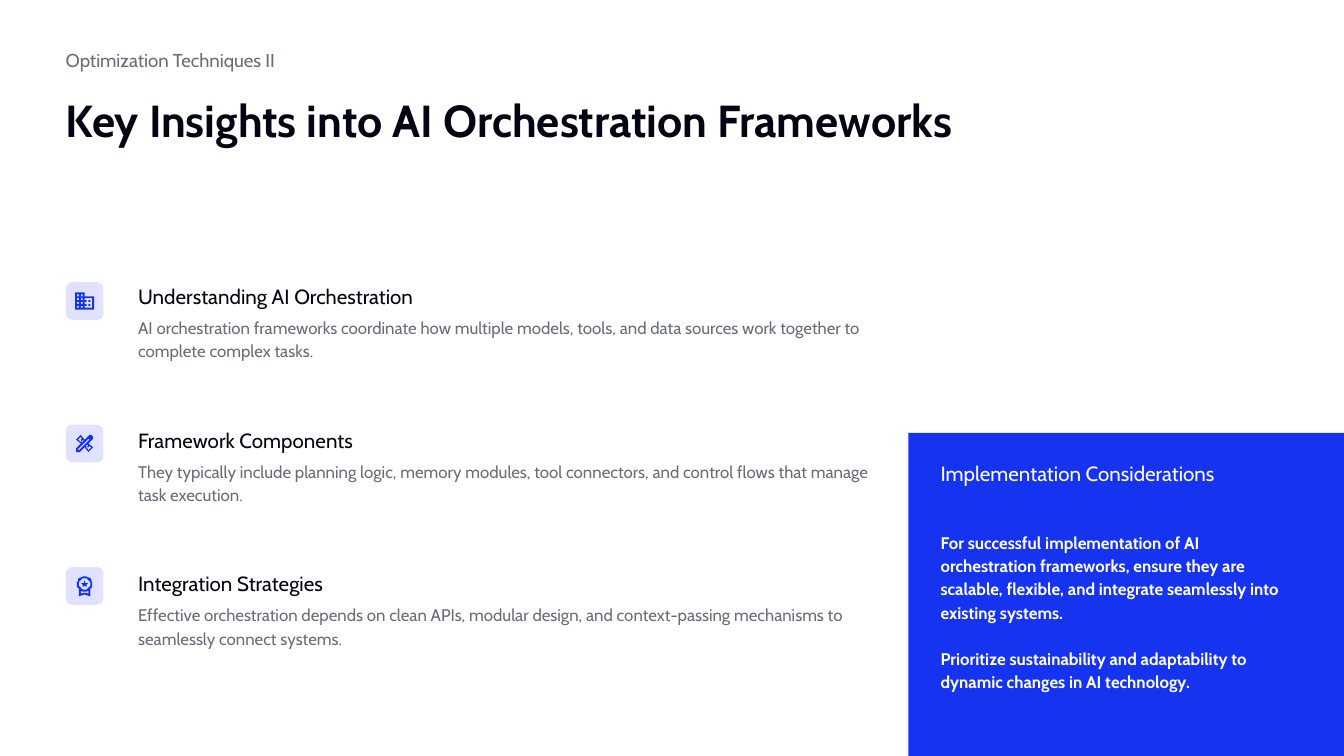
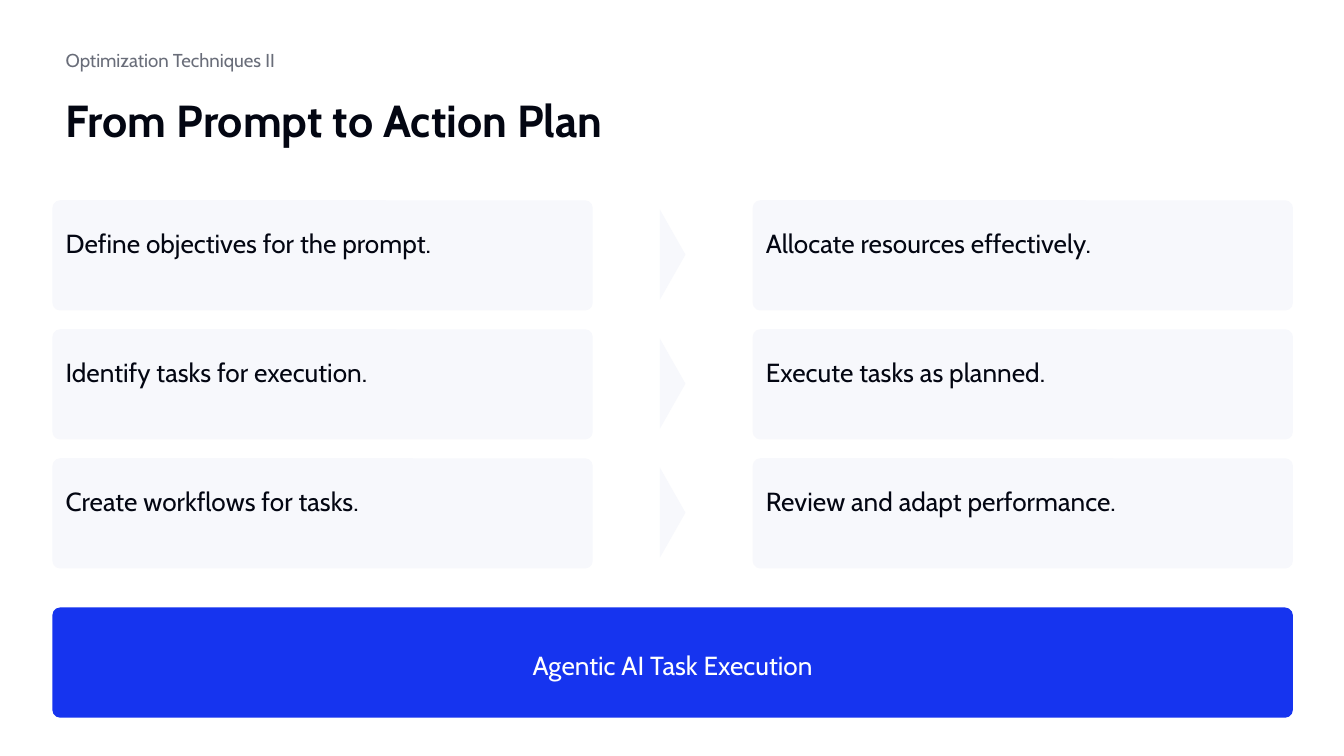
from math import cos, pi, sin

from pptx import Presentation
from pptx.dml.color import RGBColor
from pptx.enum.shapes import MSO_SHAPE
from pptx.enum.text import MSO_ANCHOR, MSO_AUTO_SIZE, PP_ALIGN
from pptx.util import Inches, Pt

RECT, ROUND = MSO_SHAPE.RECTANGLE, MSO_SHAPE.ROUNDED_RECTANGLE
WEDGE = MSO_SHAPE.ISOSCELES_TRIANGLE
TOP, MID = MSO_ANCHOR.TOP, MSO_ANCHOR.MIDDLE
LEFT, CENTER = PP_ALIGN.LEFT, PP_ALIGN.CENTER
FIXED = MSO_AUTO_SIZE.NONE

FONT = "Cabin"
INK, GREY, WHITE = "030612", "696D79", "FFFFFF"
BLUE, LILAC, PALE = "1634EF", "E0E2FF", "F7F8FC"
EDGE, WIDE = 0.39, 9.23
TILE, GLYPH, GRID = 0.28, 0.17, 24


def color(code):
    return RGBColor.from_string(code)


def place(shape, box):
    shape.left, shape.top, shape.width, shape.height = map(Inches, box)


def write(shape, lines, size, ink, bold=False, anchor=TOP, align=LEFT,
          lead=1.15, gap=0):
    frame = shape.text_frame
    frame.word_wrap = True
    frame.auto_size = FIXED
    frame.vertical_anchor = anchor
    frame.margin_left = frame.margin_right = Inches(0.1)
    frame.margin_top = frame.margin_bottom = Inches(0.1)
    frame.text = "\n".join(lines)
    for i, para in enumerate(frame.paragraphs):
        para.alignment = align
        para.line_spacing = lead
        if i:
            para.space_before = Pt(gap)
        for run in para.runs:
            font = run.font
            font.name, font.size, font.bold = FONT, Pt(size), bold
            font.color.rgb = color(ink)


def label(slide, box, lines, size, ink, **style):
    write(slide.shapes.add_textbox(*map(Inches, box)), lines, size, ink,
          **style)


def paint(shape, fill):
    shape.shadow.inherit = False
    shape.fill.solid()
    shape.fill.fore_color.rgb = color(fill)
    shape.line.fill.background()


def block(slide, kind, box, fill, bend=None):
    shape = slide.shapes.add_shape(kind, *map(Inches, box))
    paint(shape, fill)
    if bend is not None:
        shape.adjustments[0] = bend
    return shape


# Icons: outlines on a 24-unit grid
def office():
    panes = [[(x, y), (x + 2, y), (x + 2, y + 2), (x, y + 2)]
             for x, rows in ((4, (5, 9, 13, 17)), (8, (5, 9, 13, 17)),
                             (16, (11, 15))) for y in rows]
    wing = [(20, 9), (20, 19), (12, 19), (12, 17), (14, 17), (14, 15),
            (12, 15), (12, 13), (14, 13), (14, 11), (12, 11), (12, 9)]
    wall = [(2, 3), (2, 21), (22, 21), (22, 7), (12, 7), (12, 3)]
    return panes + [wing, wall]


def tools():
    rule = [(7.5, 5.3), (9, 6.8), (7.6, 8.2), (9, 9.6), (10.4, 8.2),
            (11.2, 9), (9, 11.2), (5.3, 7.5)]
    tail = [(15, 12.8), (15.8, 13.6), (14.4, 15), (15.8, 16.4), (17.2, 15),
            (18.7, 16.5), (16.5, 18.7), (12.8, 15)]
    pen = [(15.8, 7.1), (17, 8.2), (6, 19), (5, 19), (5, 18)]
    rim = [(7.5, 3), (3, 7.5), (8, 12.5), (3, 17.3), (3, 21), (6.7, 21),
           (11.5, 16), (16.5, 21), (21, 16.5), (16, 11.5), (20.7, 6.8),
           (20.7, 5.4), (18.6, 3.3), (17.2, 3.3), (12.5, 8)]
    return [rule, pen, tail, rim]


def arc(radius, start, sweep, count):
    turns = [(start + sweep * i / count) * pi / 180 for i in range(count + 1)]
    return [(12 + radius * cos(t), 10 + radius * sin(t)) for t in turns]


def badge():
    star = [arc(1.7 if i % 2 else 4.2, 36 * i - 90, 0, 1)[0]
            for i in range(10)]
    ring = arc(6, 0, 360, 24)
    slot = [(8, 17), (8, 20.3), (12, 19), (16, 20.3), (16, 17),
            (14, 17.8), (12, 18), (10, 17.8)]
    rim = arc(8, 139, 262, 24) + [(18, 23), (12, 21), (6, 23)]
    return [star, ring, slot, rim]


def icon(slide, left, top, paths):
    block(slide, ROUND, (left, top, TILE, TILE), LILAC, 0.17)
    inset = (TILE - GLYPH) / 2
    pen = None
    for path in paths:
        if pen is None:
            pen = slide.shapes.build_freeform(*path[0],
                                              scale=Inches(GLYPH) / GRID)
        else:
            pen.move_to(*path[0])
        pen.add_line_segments(path[1:], close=True)
    paint(pen.convert_to_shape(Inches(left + inset), Inches(top + inset)),
          BLUE)


# Shared heading
def start(deck, title):
    slide = deck.slides.add_slide(deck.slide_layouts[5])
    place(slide.shapes.title, (EDGE, 0.59, WIDE, 0.9))
    write(slide.shapes.title, [title], 24, INK, bold=True, lead=1)
    label(slide, (EDGE, 0.31, 2.36, 0.28), ["Optimization Techniques II"],
          10, GREY, anchor=MID, lead=1)
    return slide


# Insight list
def insights(slide, left, top, items):
    for i, (paths, head, body) in enumerate(items):
        icon(slide, left, top + 0.05 + 1.06 * i, paths)
        row = top + 1.07 * i
        label(slide, (left + 0.44, row, 5.77, 0.28), [head], 11, INK,
              anchor=MID)
        label(slide, (left + 0.44, row + 0.19, 5.77, 0.72), [body], 9, GREY)


# Blue corner panel
def panel(slide, left, top, width, height, head, notes):
    block(slide, RECT, (left, top, width, height), BLUE)
    label(slide, (left + 0.14, top + 0.21, 2.72, 0.16), [head], 11, WHITE,
          anchor=MID)
    label(slide, (left + 0.14, top + 0.62, 2.72, 1.54), notes, 9, WHITE,
          bold=True, gap=12.5)


# Paired steps with a wedge between them
def steps(slide, left, top, pairs):
    width, height, pitch, shift = 4.02, 0.82, 0.96, 5.21
    for i, pair in enumerate(pairs):
        row = top + pitch * i
        for j, text in enumerate(pair):
            side = left + shift * j
            block(slide, ROUND, (side, row, width, height), PALE, 0.07)
            label(slide, (side, row + 0.04, width, 0.52), [text], 14, INK,
                  anchor=MID)
        wedge = block(slide, WEDGE, (left + 4.28, row + 0.31, 0.67, 0.19),
                      PALE)
        wedge.rotation = 90


# Closing bar
def result(slide, left, top, width, text):
    block(slide, ROUND, (left, top, width, 0.82), BLUE, 0.07)
    label(slide, (left, top + 0.15, width, 0.52), [text], 14, WHITE,
          anchor=MID, align=CENTER)


def main():
    deck = Presentation()
    deck.slide_width = Inches(10)
    deck.slide_height = deck.slide_width * 9 // 16

    slide = start(deck, "Key Insights into AI Orchestration Frameworks")
    insights(slide, 0.49, 2.05, [
        (office(), "Understanding AI Orchestration",
         "AI orchestration frameworks coordinate how multiple models, tools, "
         "and data sources work together to complete complex tasks."),
        (tools(), "Framework Components",
         "They typically include planning logic, memory modules, tool "
         "connectors, and control flows that manage task execution."),
        (badge(), "Integration Strategies",
         "Effective orchestration depends on clean APIs, modular design, and "
         "context-passing mechanisms to seamlessly connect systems."),
    ])
    panel(slide, 6.76, 3.22, 3.24, 2.41, "Implementation Considerations", [
        "For successful implementation of AI orchestration frameworks, "
        "ensure they are scalable, flexible, and integrate seamlessly into "
        "existing systems.",
        "Prioritize sustainability and adaptability to dynamic changes in "
        "AI technology.",
    ])

    slide = start(deck, "From Prompt to Action Plan")
    steps(slide, EDGE, 1.49, [
        ("Define objectives for the prompt.",
         "Allocate resources effectively."),
        ("Identify tasks for execution.", "Execute tasks as planned."),
        ("Create workflows for tasks.", "Review and adapt performance."),
    ])
    result(slide, EDGE, 4.52, WIDE, "Agentic AI Task Execution")
    deck.save("out.pptx")


if __name__ == "__main__":
    main()
